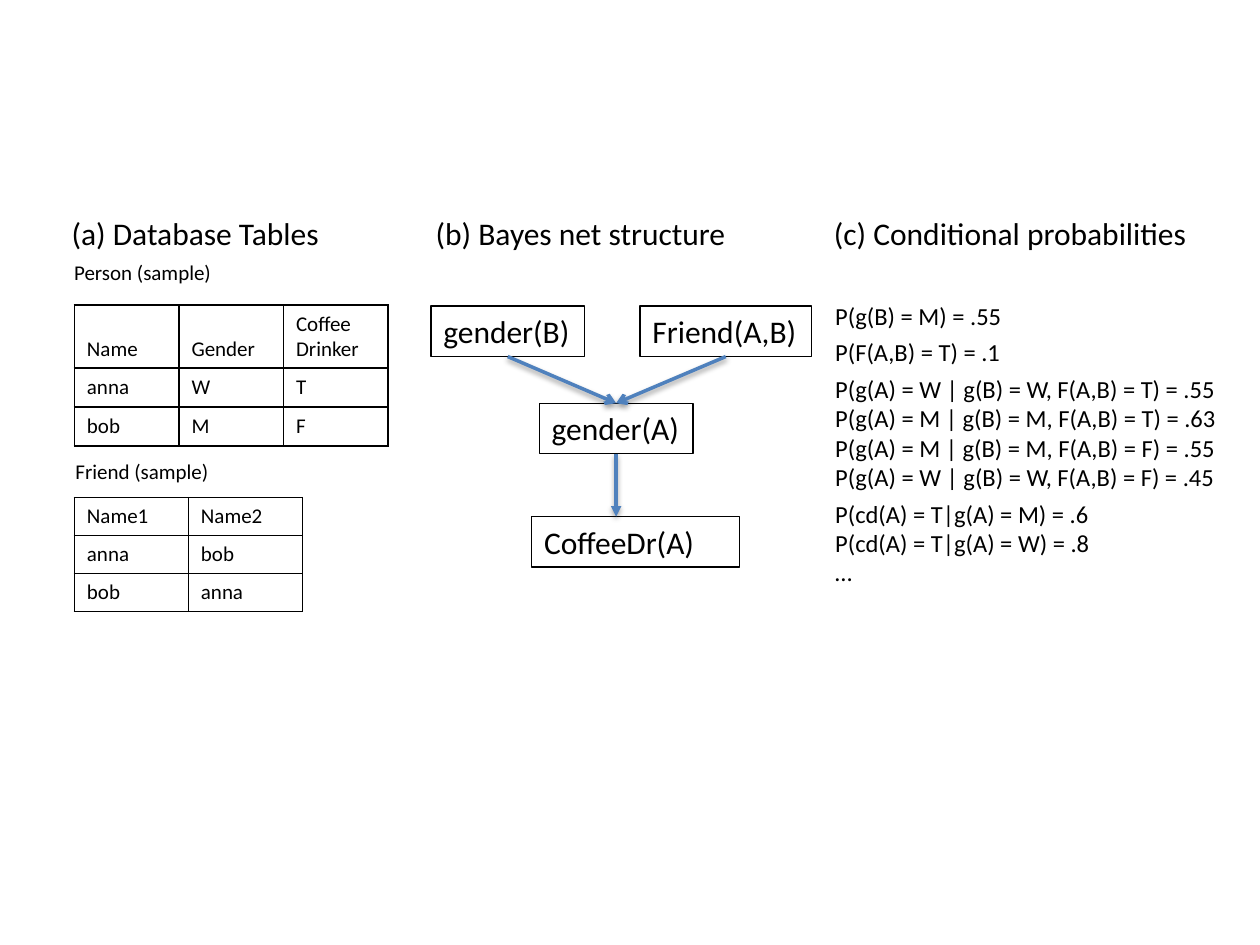
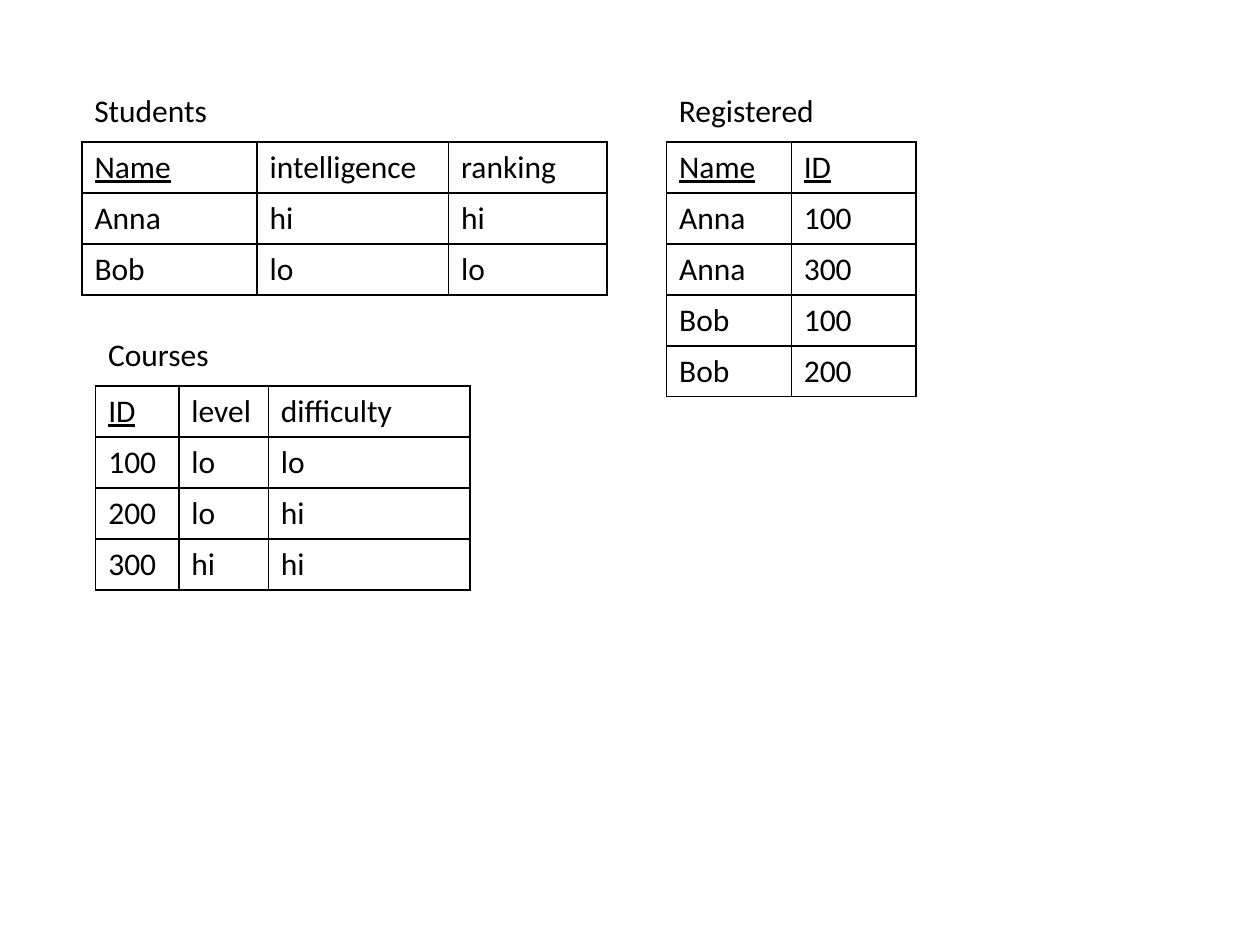
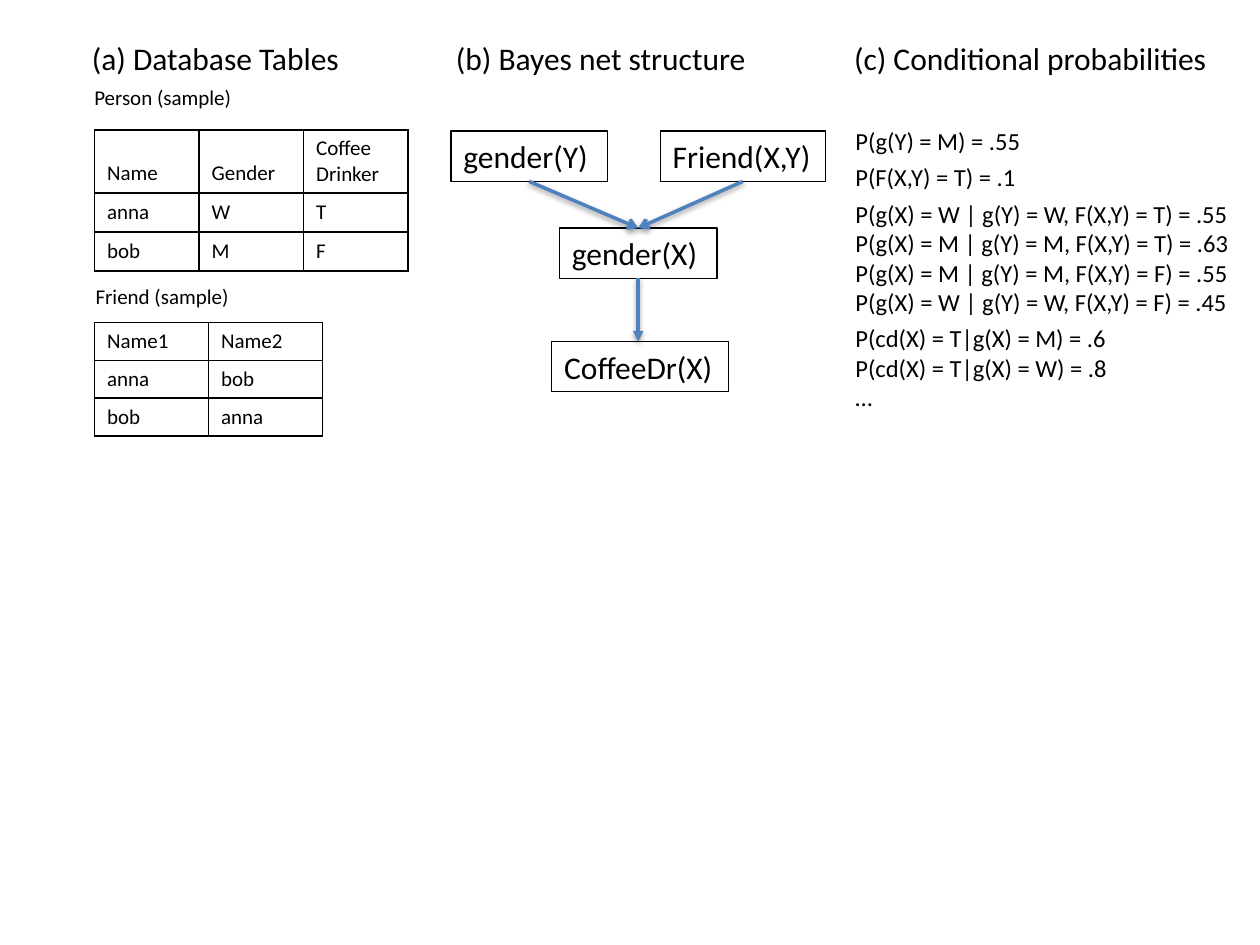
from dataclasses import dataclass

from lxml import etree
from pptx import Presentation
from pptx.dml.color import RGBColor
from pptx.enum.shapes import MSO_CONNECTOR, MSO_SHAPE
from pptx.enum.text import MSO_ANCHOR, MSO_AUTO_SIZE
from pptx.oxml import parse_xml
from pptx.oxml.ns import nsdecls, qn
from pptx.util import Inches, Pt

BLACK = RGBColor(0x00, 0x00, 0x00)
ARROW_BLUE = RGBColor(0x4F, 0x81, 0xBD)
FONT = "Calibri"
LARGE, MEDIUM, SMALL = 18, 14, 12

# The slide is a grid of 100 columns by 75 rows of square units.
COLUMNS, ROWS = 100, 75
UNIT = Inches(0.1)
LINE_ROWS = 4
LABEL_ROWS = 3

SHADOW = (
    f'<a:effectLst {nsdecls("a")}><a:outerShdw blurRad="40000" dist="20000" dir="5400000"'
    ' rotWithShape="0"><a:srgbClr val="000000"><a:alpha val="38000"/></a:srgbClr>'
    "</a:outerShdw></a:effectLst>"
)


@dataclass
class Box:
    """An area of the slide, measured in grid units."""
    left: float
    top: float
    width: float
    height: float

    @property
    def center(self):
        return self.left + self.width / 2

    @property
    def bottom(self):
        return self.top + self.height

    def inner(self, left, top, width, height):
        return Box(self.left + left, self.top + top, width, height)

    def emu(self):
        return [units(n) for n in (self.left, self.top, self.width, self.height)]


def units(count):
    return round(count * UNIT)


def write_text(frame, groups, size=LARGE, underline=False, group_gap=0):
    """Write groups of paragraphs, with a gap before each group but the first."""
    frame.word_wrap = True
    paragraph = frame.paragraphs[0]
    for group_number, group in enumerate(groups):
        for line_number, line in enumerate(group):
            if group_number or line_number:
                paragraph = frame.add_paragraph()
            paragraph.text = line
            if group_number and line_number == 0:
                paragraph.space_before = Pt(group_gap)
            for run in paragraph.runs:
                run.font.name = FONT
                run.font.size = Pt(size)
                run.font.color.rgb = BLACK
                run.font.underline = underline


def add_text(slide, box, groups, outlined=False, **text_format):
    shape = slide.shapes.add_textbox(*box.emu())
    if outlined:
        shape.line.color.rgb = BLACK
        shape.line.width = Pt(0.75)
    write_text(shape.text_frame, groups, **text_format)
    shape.text_frame.auto_size = MSO_AUTO_SIZE.SHAPE_TO_FIT_TEXT


def add_label(slide, box, label, **text_format):
    add_text(slide, box, [[label]], **text_format)


def outline_cell(cell):
    properties = cell._tc.get_or_add_tcPr()
    for side in ("lnL", "lnR", "lnT", "lnB"):
        properties.append(parse_xml(
            f'<a:{side} {nsdecls("a")} w="12700"><a:solidFill>'
            f'<a:srgbClr val="{BLACK}"/></a:solidFill></a:{side}>'))


def add_grid_table(slide, left, top, widths, heights, rows, size=LARGE, keys=0):
    """Add an outlined table; the first `keys` headings are underlined."""
    box = Box(left, top, sum(widths), sum(heights))
    table = slide.shapes.add_table(len(rows), len(widths), *box.emu()).table
    table.first_row = table.horz_banding = False
    for column, width in zip(table.columns, widths):
        column.width = units(width)
    for row_number, (row, height) in enumerate(zip(rows, heights)):
        table.rows[row_number].height = units(height)
        for column_number, value in enumerate(row):
            cell = table.cell(row_number, column_number)
            outline_cell(cell)
            cell.fill.background()
            if row_number == 0:
                cell.vertical_anchor = MSO_ANCHOR.BOTTOM
            is_key = row_number == 0 and column_number < keys
            write_text(cell.text_frame, [[value]], size=size, underline=is_key)


def add_arrow(slide, start, end, head):
    ends = [units(n) for n in (*start, *end)]
    connector = slide.shapes.add_connector(MSO_CONNECTOR.STRAIGHT, *ends)
    connector.line.color.rgb = ARROW_BLUE
    connector.line.width = Pt(2)
    line = connector.line._get_or_add_ln()
    etree.SubElement(line, qn("a:tailEnd"), type=head)
    connector._element.spPr.append(parse_xml(SHADOW))


def add_database_tables(slide, box):
    add_label(slide, box.inner(0, 0, 22.1, LINE_ROWS), "(a) Database Tables")
    add_label(slide, box.inner(0.2, 3.6, 15.6, LABEL_ROWS), "Person (sample)", size=SMALL)
    add_grid_table(
        slide, box.left + 1.2, box.top + 7.7, [8.3] * 3, [5, 3.1, 3.1],
        [("Name", "Gender", "Coffee\vDrinker"), ("anna", "W", "T"), ("bob", "M", "F")],
        size=SMALL)
    add_label(slide, box.inner(0.3, 19.4, 12.8, LABEL_ROWS), "Friend (sample)", size=SMALL)
    add_grid_table(
        slide, box.left + 1.2, box.top + 23, [9.05] * 2, [3] * 3,
        [("Name1", "Name2"), ("anna", "bob"), ("bob", "anna")], size=SMALL)


def add_bayes_net(slide, box, a, b, widths):
    add_label(slide, box.inner(0, 0, 25.4, LINE_ROWS), "(b) Bayes net structure")
    names = (f"gender({b})", f"Friend({a},{b})", f"gender({a})", f"CoffeeDr({a})")
    corners = ((0.6, 7.8), (17.2, 7.8), (9.2, 15.5), (8.6, 24.5))
    nodes = [box.inner(*corner, width, LINE_ROWS) for corner, width in zip(corners, widths)]
    for node, name in zip(nodes, names):
        add_label(slide, node, name, outlined=True)
    *parents, child, drinker = nodes
    for parent in parents:
        add_arrow(slide, (parent.center, parent.bottom), (child.center, child.top), "arrow")
    add_arrow(slide, (child.center, child.bottom), (child.center, drinker.top), "triangle")


def add_probabilities(slide, box, a, b):
    add_label(slide, box.inner(0, 0, 30.3, LINE_ROWS), "(c) Conditional probabilities")
    cases = (("W", "T", ".55"), ("M", "T", ".63"), ("M", "F", ".55"), ("W", "F", ".45"))
    groups = [
        [f"P(g({b}) = M) = .55"],
        [f"P(F({a},{b}) = T) = .1"],
        [f"P(g({a}) = {gender} | g({b}) = {gender}, F({a},{b}) = {friend}) = {value}"
         for gender, friend, value in cases],
        [f"P(cd({a}) = T|g({a}) = M) = .6", f"P(cd({a}) = T|g({a}) = W) = .8", "…"],
    ]
    add_text(slide, box.inner(0.1, 6.9, 33.1, 23.9), groups, size=MEDIUM, group_gap=4)


def add_model_slide(slide, left, top, a, b, node_widths):
    panel = Box(left, top, 95, 32)
    add_database_tables(slide, panel.inner(0, 0, 27, 32))
    add_bayes_net(slide, panel.inner(28.9, 0, 31, 32), a, b, node_widths)
    add_probabilities(slide, panel.inner(60.5, 0, 33.2, 32), a, b)


def add_captioned_table(slide, left, top, caption, widths, rows, keys):
    add_label(slide, Box(left, top, sum(widths), LINE_ROWS), caption)
    heights = [4.05] * len(rows)
    add_grid_table(slide, left, top + 4.55, widths, heights, rows, keys=keys)


def add_university_slide(slide):
    add_captioned_table(
        slide, 6.5, 6.7, "Students", [13.9, 15.2, 12.6],
        [("Name", "intelligence", "ranking"), ("Anna", "hi", "hi"), ("Bob", "lo", "lo")],
        keys=1)
    add_captioned_table(
        slide, 52.9, 6.7, "Registered", [9.9, 9.9],
        [("Name", "ID"), ("Anna", "100"), ("Anna", "300"), ("Bob", "100"), ("Bob", "200")],
        keys=2)
    add_captioned_table(
        slide, 7.6, 26.1, "Courses", [6.6, 7.1, 16],
        [("ID", "level", "difficulty"), ("100", "lo", "lo"), ("200", "lo", "hi"),
         ("300", "hi", "hi")],
        keys=1)


def main():
    presentation = Presentation()
    presentation.slide_width = units(COLUMNS)
    presentation.slide_height = units(ROWS)
    blank = presentation.slide_layouts[6]
    first, second, third = [presentation.slides.add_slide(blank) for _ in range(3)]
    add_model_slide(first, 4.7, 16.5, "A", "B", (12.2, 13.6, 12.2, 16.5))
    add_university_slide(second)
    add_model_slide(third, 6.3, 2.6, "X", "Y", (12.4, 13.1, 12.5, 14))
    presentation.save("out.pptx")


if __name__ == "__main__":
    main()
